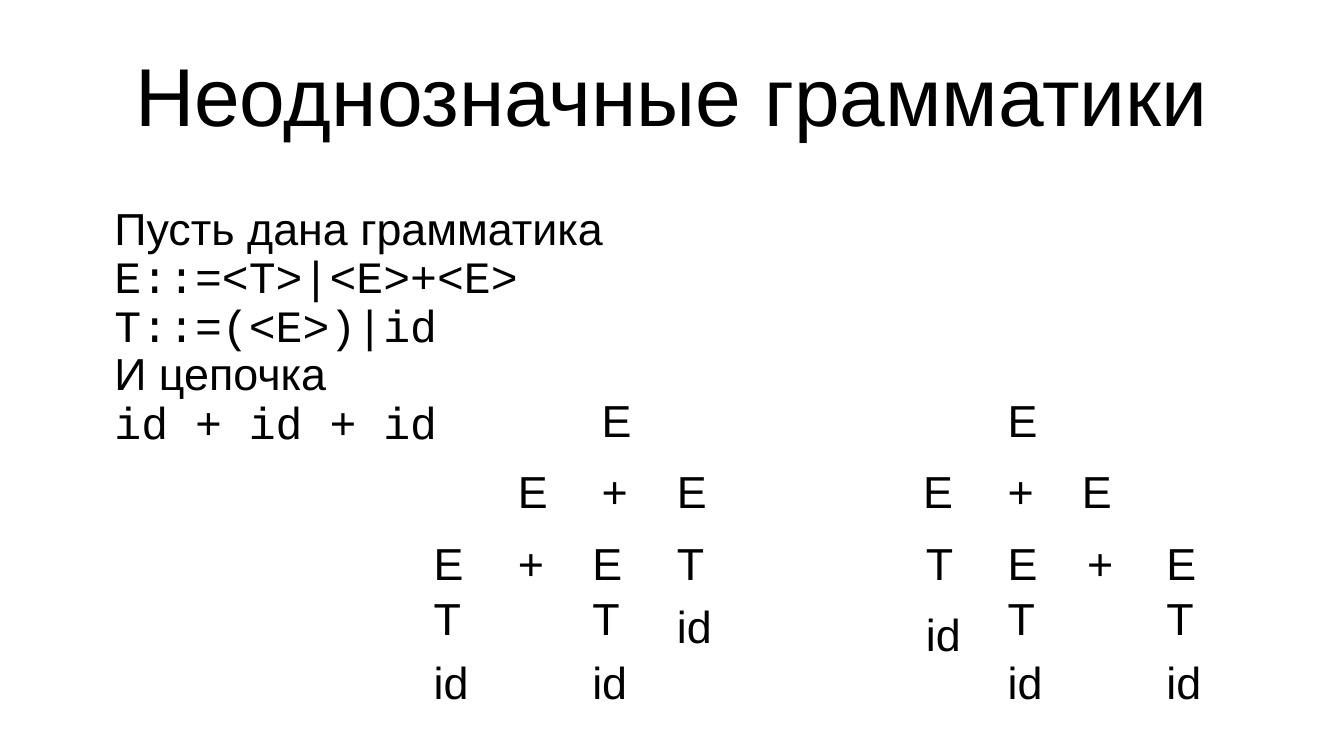
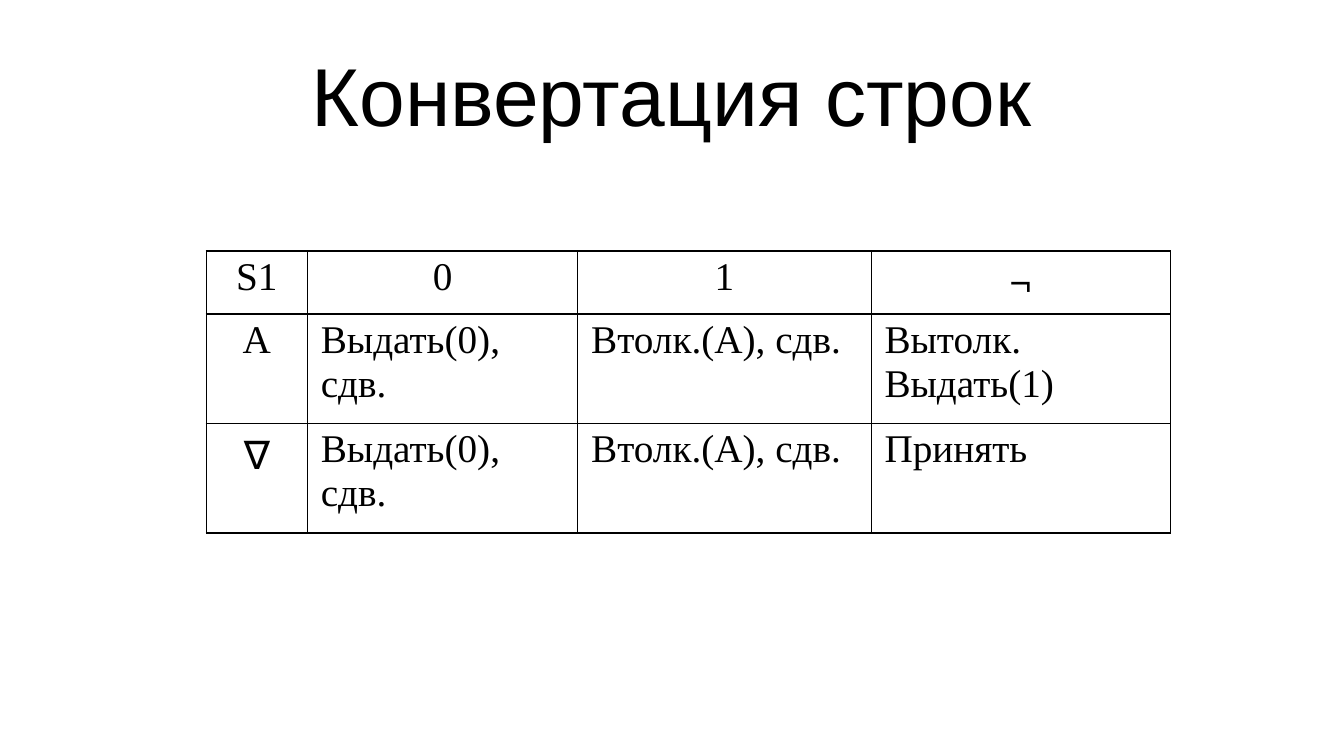
from pptx import Presentation
from pptx.dml.color import RGBColor
from pptx.enum.text import MSO_ANCHOR, MSO_AUTO_SIZE, PP_ALIGN
from pptx.oxml import parse_xml
from pptx.oxml.ns import nsdecls
from pptx.util import Pt

COLORS = {"ink": "000000"}
SANS, MONO, SERIF, SYMBOL = "Arial", "Courier New", "Times New Roman", "Open Sans"
TITLE_BOX = (36, 16.5, 648, 67.5)

GRAMMAR = [
    ("Пусть дана грамматика", SANS),
    ("E::=<T>|<E>+<E>", MONO),
    ("T::=(<E>)|id", MONO),
    ("И цепочка", SANS),
    ("id + id + id", MONO),
]

# Vertical offsets of the tree levels
ROOT, SPLIT, INNER, TERM, LEAF = 0, 38.2, 76.6, 106.3, 140.4
# Horizontal offsets of the subtrees
FIRST, SECOND, THIRD, LAST = 0, 45.2, 85, 130.3
# Each node: symbol, left, top
LEFT_GROUPED = [
    ("E", 90, ROOT),
    ("E", SECOND, SPLIT), ("+", 90, SPLIT), ("E", LAST, SPLIT),
    ("E", FIRST, INNER), ("+", SECOND, INNER), ("E", THIRD, INNER), ("T", LAST, INNER),
    ("T", FIRST, TERM), ("T", THIRD, TERM), ("id", LAST, 110.6),
    ("id", FIRST, LEAF), ("id", THIRD, LEAF),
]
RIGHT_GROUPED = [
    ("E", SECOND, ROOT),
    ("E", FIRST, SPLIT), ("+", SECOND, SPLIT), ("E", THIRD, SPLIT),
    ("T", 1.4, INNER), ("E", SECOND, INNER), ("+", 87.8, INNER), ("E", LAST, INNER),
    ("id", 1.4, 114.8), ("T", SECOND, TERM), ("T", LAST, TERM),
    ("id", SECOND, LEAF), ("id", LAST, LEAF),
]

COLUMN_WIDTHS = [54.2, 144.8, 157.2, 160.2]
ROW_HEIGHTS = [33.7, 58.5, 58.8]
TRANSITIONS = [
    ["S1", "0", "1", "¬"],
    ["А", "Выдать(0), сдв.", "Втолк.(А), сдв.", "Вытолк. Выдать(1)"],
    ["∇", "Выдать(0), сдв.", "Втолк.(А), сдв.", "Принять"],
]


def add_run(paragraph, text, font, size):
    run = paragraph.add_run()
    run.text = text
    run.font.name = font
    run.font.size = Pt(size)
    run.font.color.rgb = RGBColor.from_string(COLORS["ink"])


def hang(paragraph, indent):
    properties = paragraph._p.get_or_add_pPr()
    properties.set("marL", str(Pt(indent)))
    properties.set("indent", str(-Pt(indent)))


def add_text_outline(slide, box):
    """Add an unpainted rectangular outline and return its text frame."""
    left, top, width, height = map(Pt, box)
    right, bottom = left + width, top + height
    builder = slide.shapes.build_freeform(left, top)
    builder.add_line_segments([(right, top), (right, bottom), (left, bottom)], close=True)
    outline = builder.convert_to_shape()
    outline.shadow.inherit = False
    outline.fill.background()
    outline.line.fill.background()
    frame = outline.text_frame
    frame.word_wrap = True
    frame.vertical_anchor = MSO_ANCHOR.TOP
    return frame


def add_titled_slide(deck, heading):
    slide = deck.slides.add_slide(deck.slide_layouts[5])
    title = slide.shapes.title
    title.left, title.top, title.width, title.height = map(Pt, TITLE_BOX)
    frame = title.text_frame
    frame.auto_size = MSO_AUTO_SIZE.NONE
    frame.vertical_anchor = MSO_ANCHOR.MIDDLE
    frame.paragraphs[0].alignment = PP_ALIGN.CENTER
    add_run(frame.paragraphs[0], heading, SANS, 44)
    return slide


def add_grammar(slide, box):
    frame = add_text_outline(slide, box)
    for index, (line, font) in enumerate(GRAMMAR):
        paragraph = frame.add_paragraph() if index else frame.paragraphs[0]
        hang(paragraph, 27)
        paragraph.alignment = PP_ALIGN.LEFT
        paragraph.line_spacing = 0.9
        add_run(paragraph, line, font, 24)


def add_parse_tree(slide, left, top, nodes):
    for symbol, x, y in nodes:
        width = 28 if symbol == "+" else 34
        frame = add_text_outline(slide, (left + x, top + y, width, 27.4))
        frame.paragraphs[0].alignment = PP_ALIGN.LEFT
        add_run(frame.paragraphs[0], symbol, SANS, 24)


def set_borders(cell, width):
    properties = cell._tc.get_or_add_tcPr()
    for position, side in enumerate("LRTB"):
        properties.insert(position, parse_xml(
            f'<a:ln{side} {nsdecls("a")} w="{Pt(width)}"><a:solidFill>'
            f'<a:srgbClr val="{COLORS["ink"]}"/></a:solidFill></a:ln{side}>'))


def fill_cell(cell, text, centred):
    cell.fill.background()
    set_borders(cell, 0.75)
    cell.margin_left = cell.margin_right = Pt(7.2)
    cell.margin_top = cell.margin_bottom = Pt(2.6)
    paragraph = cell.text_frame.paragraphs[0]
    paragraph.alignment = PP_ALIGN.CENTER if centred else PP_ALIGN.JUSTIFY
    if centred or text == "Принять":
        hang(paragraph, 20)
    add_run(paragraph, text, SYMBOL if text in "¬∇" else SERIF, 21)


def add_transition_table(slide, left, top):
    size = sum(COLUMN_WIDTHS), sum(ROW_HEIGHTS)
    table = slide.shapes.add_table(len(ROW_HEIGHTS), len(COLUMN_WIDTHS),
                                   *map(Pt, (left, top, *size))).table
    table.first_row = table.horz_banding = False
    for column, width in zip(table.columns, COLUMN_WIDTHS):
        column.width = Pt(width)
    for row, height in zip(table.rows, ROW_HEIGHTS):
        row.height = Pt(height)
    for r, entries in enumerate(TRANSITIONS):
        for c, entry in enumerate(entries):
            fill_cell(table.cell(r, c), entry, centred=r == 0 or c == 0)


def build_grammar_slide(deck):
    slide = add_titled_slide(deck, "Неоднозначные грамматики")
    add_parse_tree(slide, 225.2, 206.6, LEFT_GROUPED)
    add_parse_tree(slide, 487.5, 206.6, RIGHT_GROUPED)
    add_grammar(slide, (54.2, 107.3, 589, 141.8))


def build_conversion_slide(deck):
    slide = add_titled_slide(deck, "Конвертация строк")
    add_transition_table(slide, 110.5, 134.5)


def main():
    deck = Presentation()
    deck.slide_width, deck.slide_height = Pt(720), Pt(405)
    build_grammar_slide(deck)
    build_conversion_slide(deck)
    deck.save("out.pptx")


if __name__ == "__main__":
    main()
